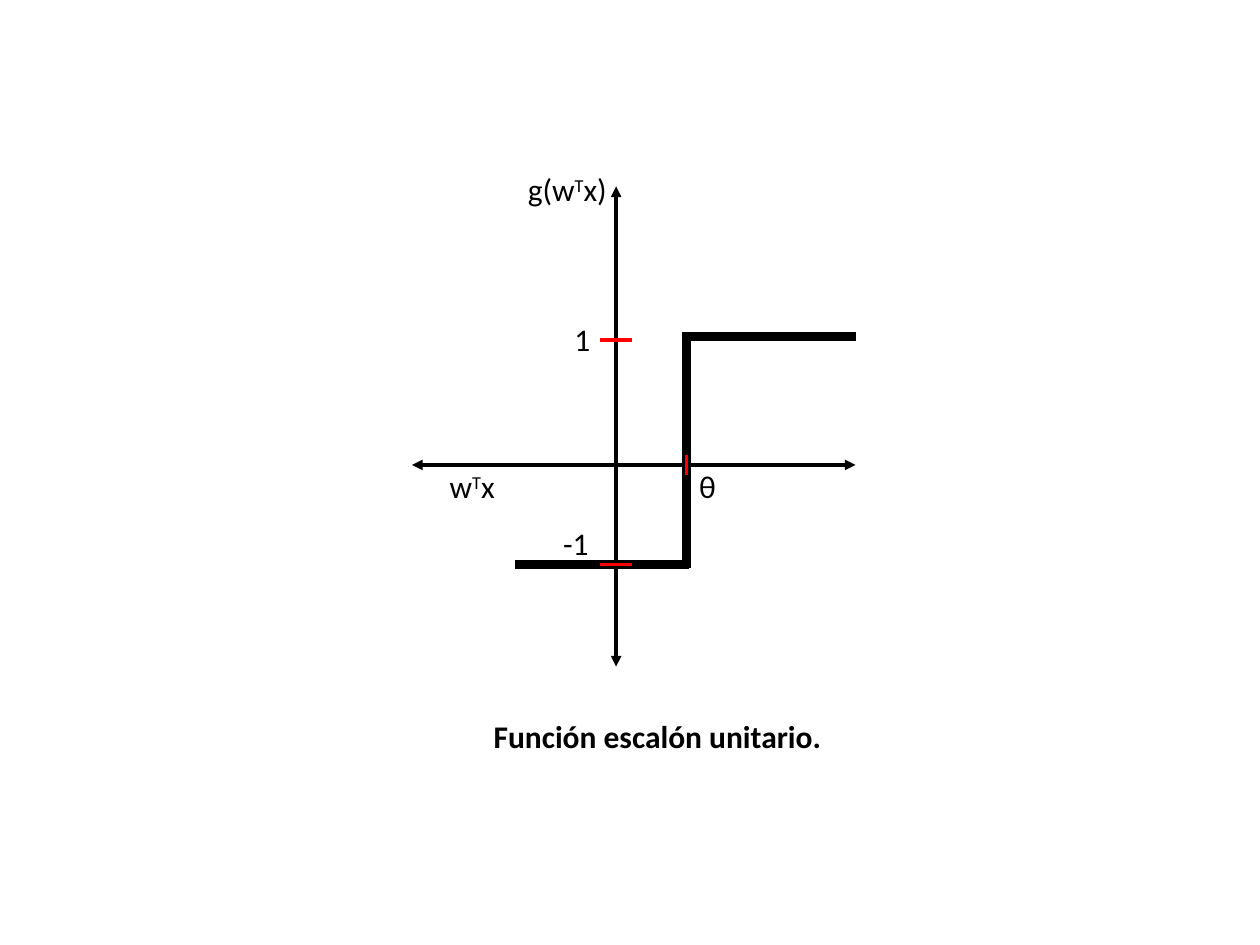
from lxml import etree
from pptx import Presentation
from pptx.dml.color import RGBColor
from pptx.enum.shapes import MSO_CONNECTOR
from pptx.enum.text import MSO_AUTO_SIZE
from pptx.oxml.ns import qn
from pptx.util import Inches, Pt

STRAIGHT = MSO_CONNECTOR.STRAIGHT
FIT_SHAPE = MSO_AUTO_SIZE.SHAPE_TO_FIT_TEXT
COLORS = {"ink": "000000", "tick": "FF0000"}
FONT = "Calibri"
AXIS_WIDTH, STEP_WIDTH = 2, 5.25
TICK = 0.25
LABEL_HEIGHT = 0.4


def add_line(s, start, end, color, width, arrows=False):
    line = s.shapes.add_connector(STRAIGHT, *map(Inches, start + end))
    line.line.color.rgb = RGBColor.from_string(COLORS[color])
    line.line.width = Pt(width)
    spPr = line._element.spPr
    if arrows:
        ln = spPr.find(qn("a:ln"))
        for end_tag in ("a:headEnd", "a:tailEnd"):
            etree.SubElement(ln, qn(end_tag), type="triangle")
    etree.SubElement(spPr, qn("a:effectLst"))


def add_text(s, left, top, width, text, bold=False, wrap=False):
    """Write text in a box; a part after ^ is one raised character."""
    tb = s.shapes.add_textbox(*map(Inches, (left, top, width, LABEL_HEIGHT)))
    tf = tb.text_frame
    tf.word_wrap = wrap
    tf.auto_size = FIT_SHAPE
    base, _, rest = text.partition("^")
    for part, raised in ((base, False), (rest[:1], True), (rest[1:], False)):
        if not part:
            continue
        r = tf.paragraphs[0].add_run()
        r.text = part
        r.font.name = FONT
        r.font.size = Pt(18)
        r.font.bold = bold
        r.font.color.rgb = RGBColor.from_string(COLORS["ink"])
        if raised:
            r._r.get_or_add_rPr().set("baseline", "30000")


def add_step_plot(s, left, top, width, height):
    right, bottom = left + width, top + height
    axis_x, axis_y = left + 1.62, top + 2.21
    theta = left + 2.18
    high, low = top + 1.19, top + 3

    add_line(s, (axis_x, top), (axis_x, bottom), "ink", AXIS_WIDTH, True)
    add_line(s, (right, axis_y), (left, axis_y), "ink", AXIS_WIDTH, True)

    # The level lines overlap the riser slightly to close the corners
    add_line(s, (theta, high), (theta, low + 0.03), "ink", STEP_WIDTH)
    add_line(s, (right, high), (theta - 0.04, high), "ink", STEP_WIDTH)
    add_line(s, (theta + 0.02, low), (left + 0.82, low), "ink", STEP_WIDTH)

    for y in (high + 0.03, low):
        add_line(s, (axis_x + TICK / 2, y), (axis_x - TICK / 2, y),
                 "tick", AXIS_WIDTH)
    add_line(s, (theta, axis_y + 0.08), (theta, axis_y - 0.08),
             "tick", AXIS_WIDTH)

    labels = [
        (theta, axis_y - 0.03, 0.34, "θ"),
        (left + 1.1, low - 0.37, 0.41, "-1"),
        (left + 1.19, high - 0.18, 0.33, "1"),
        (left + 0.2, axis_y - 0.03, 0.58, "w^Tx"),
        (left + 0.82, top - 0.18, 0.85, "g(w^Tx)"),
    ]
    for label in labels:
        add_text(s, *label)


def main():
    prs = Presentation()
    prs.slide_width, prs.slide_height = Inches(10), Inches(7.5)
    s = prs.slides.add_slide(prs.slide_layouts[6])
    add_step_plot(s, 3.27, 1.48, 3.52, 3.81)
    add_text(s, 3.82, 5.64, 6.83, "Función escalón unitario.",
             bold=True, wrap=True)
    prs.save("out.pptx")


if __name__ == "__main__":
    main()
